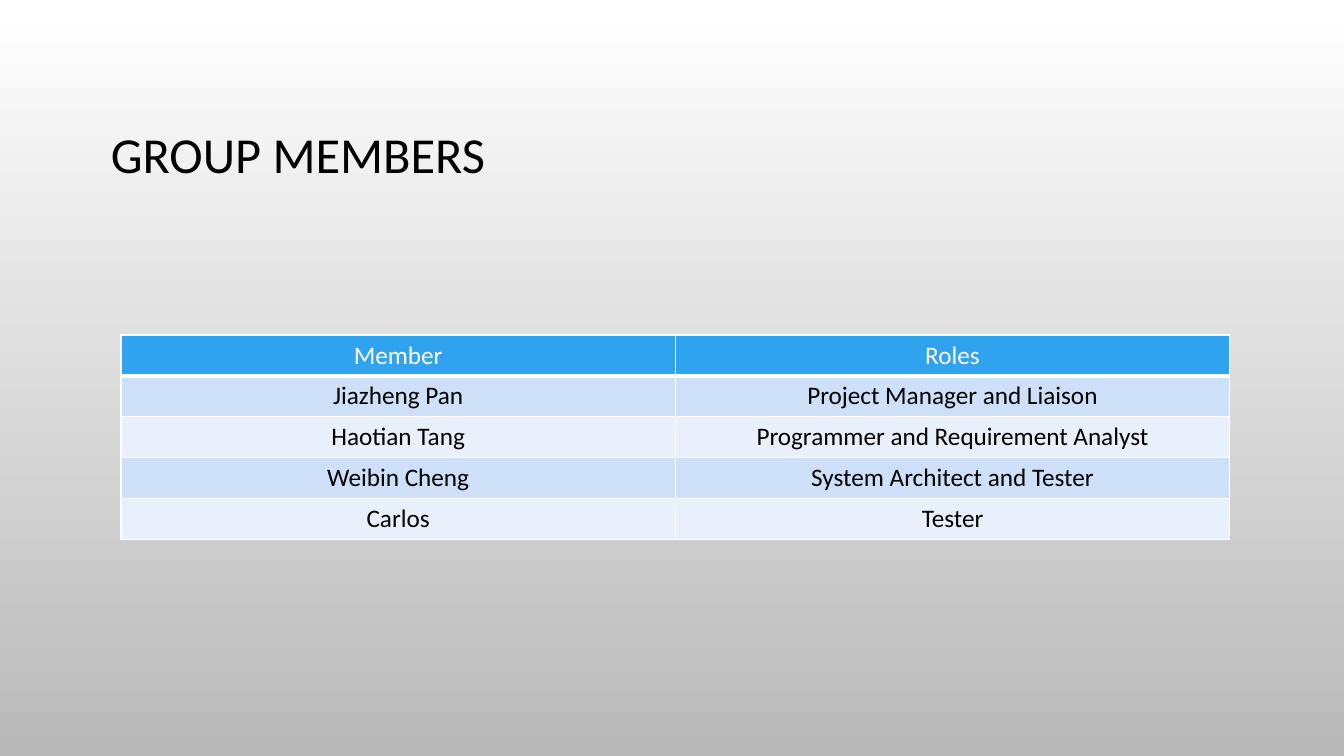
from dataclasses import dataclass

from lxml import etree
from pptx import Presentation
from pptx.dml.color import RGBColor
from pptx.enum import text as t
from pptx.oxml import ns
from pptx.util import Pt

FONT = "Calibri"
HEX = {
    "white": "FFFFFF",
    "grey": "B9B9B9",
    "black": "000000",
    "head": "2FA3EE",
    "odd": "CDE0F8",
    "even": "E8F0FC",
}


@dataclass
class Row:
    member: str
    role: str
    fill: str
    ink: str = "black"
    rule: float = 1


ROWS = [
    Row("Member", "Roles", "head", "white", 3),
    Row("Jiazheng Pan", "Project Manager and Liaison", "odd"),
    Row("Haotian Tang", "Programmer and Requirement Analyst", "even"),
    Row("Weibin Cheng", "System Architect and Tester", "odd"),
    Row("Carlos", "Tester", "even"),
]


def color(name: str) -> RGBColor:
    return RGBColor.from_string(HEX[name])


def style(para, size: float, ink: str, align) -> None:
    para.alignment = align
    for run in para.runs:
        run.font.name = FONT
        run.font.size = Pt(size)
        run.font.bold = False
        run.font.color.rgb = color(ink)


def edge(cell, side: str, width: float, spot: int) -> None:
    """Put a white border on one side; spot keeps the schema's order."""
    line = etree.Element(ns.qn(f"a:ln{side}"), w=str(Pt(width)))
    fill = etree.SubElement(line, ns.qn("a:solidFill"))
    etree.SubElement(fill, ns.qn("a:srgbClr"), val=HEX["white"])
    cell._tc.get_or_add_tcPr().insert(spot, line)


def paint(slide) -> None:
    fill = slide.background.fill
    fill.gradient()
    fill.gradient_angle = 270
    for stop, place, name in zip(fill.gradient_stops, (0, 1), ("white", "grey")):
        stop.position = place
        stop.color.rgb = color(name)


def add_title(slide) -> None:
    title = slide.shapes.title
    title.left, title.top, title.width, title.height = map(Pt, (72, 49, 816, 126))
    frame = title.text_frame
    frame.text = "GROUP MEMBERS"
    frame.vertical_anchor = t.MSO_ANCHOR.MIDDLE
    para = frame.paragraphs[0]
    para.line_spacing = 0.9
    style(para, 36, "black", t.PP_ALIGN.LEFT)


def add_roles(slide) -> None:
    box = map(Pt, (86.4, 239.3, 792, 29.2 * len(ROWS)))
    table = slide.shapes.add_table(len(ROWS), 2, *box).table
    for r, row in enumerate(ROWS):
        above = ROWS[max(r - 1, 0)].rule if r else 1
        widths = {"L": 1, "R": 1, "T": above, "B": row.rule}
        for c, words in enumerate((row.member, row.role)):
            cell = table.cell(r, c)
            cell.text_frame.text = words
            style(cell.text_frame.paragraphs[0], 18, row.ink, t.PP_ALIGN.CENTER)
            cell.fill.solid()
            cell.fill.fore_color.rgb = color(row.fill)
            for spot, (side, width) in enumerate(widths.items()):
                edge(cell, side, width, spot)


def main() -> None:
    deck = Presentation()
    deck.slide_width, deck.slide_height = Pt(960), Pt(540)
    slide = deck.slides.add_slide(deck.slide_layouts.get_by_name("Title Only"))
    paint(slide)
    add_title(slide)
    add_roles(slide)
    deck.save("out.pptx")


if __name__ == "__main__":
    main()
